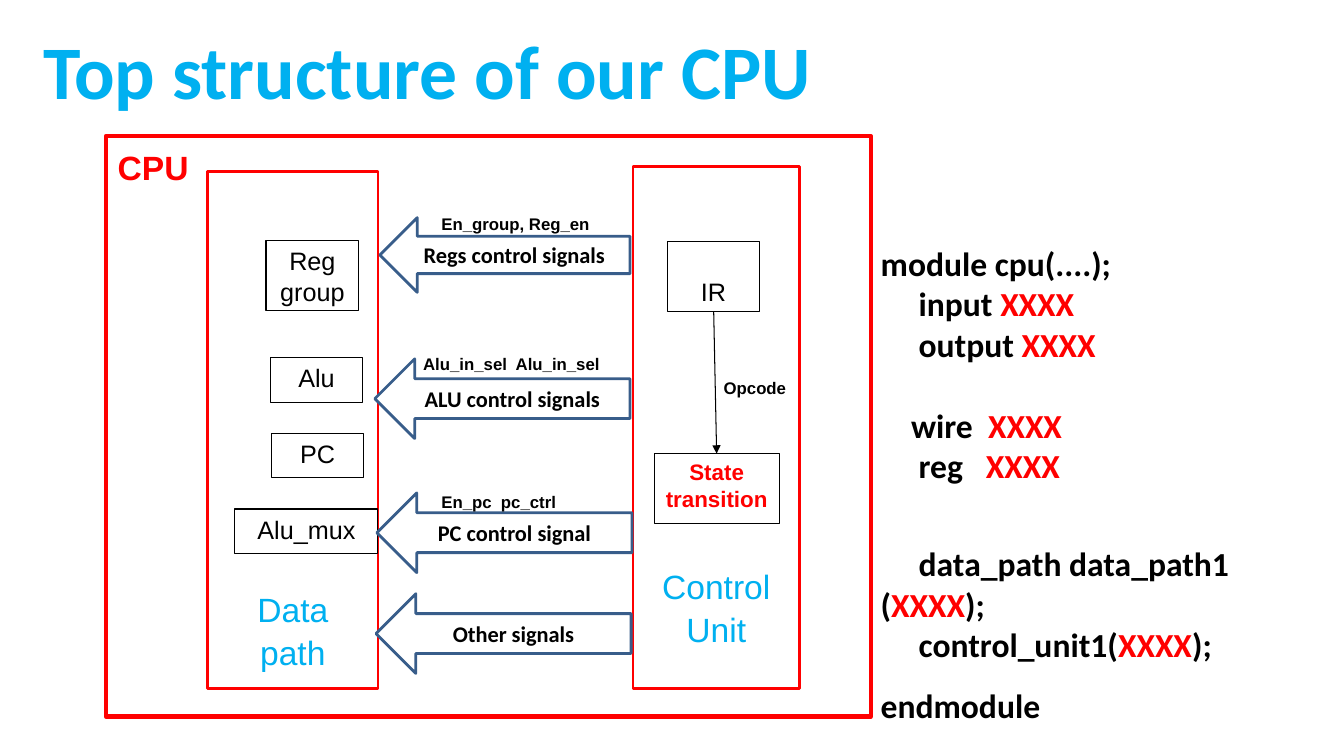
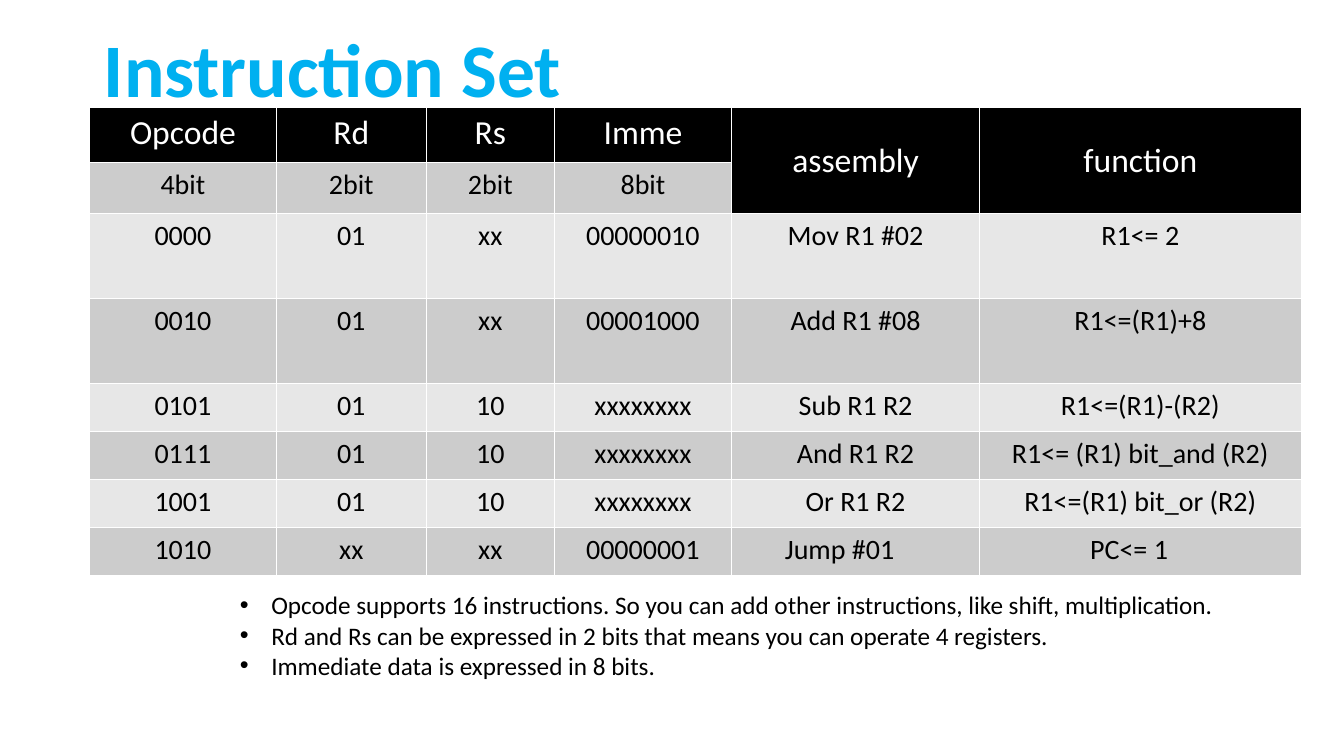
from dataclasses import dataclass
from typing import NamedTuple

from lxml.etree import SubElement
from pptx import Presentation
from pptx.dml.color import RGBColor
from pptx.enum.shapes import MSO_CONNECTOR, MSO_SHAPE
from pptx.enum.text import MSO_ANCHOR, MSO_AUTO_SIZE, PP_ALIGN
from pptx.oxml.ns import qn
from pptx.util import Pt

COLORS = {
    "black": "000000", "white": "FFFFFF", "red": "FF0000", "sky": "00B0F0",
    "navy": "385D8A", "light": "E7E7E7", "gray": "CCCCCC",
}
SLOT = "XXXX"


class Area(NamedTuple):
    left: float
    top: float
    width: float
    height: float

    def points(self) -> list:
        return [Pt(value) for value in self]


@dataclass
class Style:
    size: float
    color: str = "black"
    font: str = "Arial"
    bold: bool = False
    align: PP_ALIGN = PP_ALIGN.CENTER


@dataclass
class Block:
    """An outlined shape with its text."""
    area: Area
    text: str
    style: Style
    line: str = "black"
    weight: float = 0.75
    fill: str = "white"
    kind: MSO_SHAPE = MSO_SHAPE.RECTANGLE
    anchor: MSO_ANCHOR = MSO_ANCHOR.TOP
    top: float = 3.6
    bottom: float = 3.6
    pitch: float = 1.0


@dataclass
class Label:
    area: Area
    text: str
    style: Style


class Code(NamedTuple):
    text: str
    before: float = 0
    pitch: float = 1.0


TITLE = Style(54, "sky", "Calibri", True, PP_ALIGN.LEFT)
NAME = Style(24, "sky")
PART = Style(18)
STATE = Style(16, "red", bold=True)
SIGNAL = Style(16, font="Calibri", bold=True)
NOTE = Style(12, bold=True, align=PP_ALIGN.LEFT)
CORNER = Style(24, "red", bold=True, align=PP_ALIGN.LEFT)
CODE = Style(24, font="Calibri", bold=True, align=PP_ALIGN.LEFT)
HEAD = Style(24, "white", "Calibri")
CELL = Style(20, font="Calibri")
SHIFT = Style(20, font="Calibri", align=PP_ALIGN.LEFT)
POINT = Style(18, font="Calibri", align=PP_ALIGN.LEFT)


def frame(area: Area, text: str = "", weight: float = 2, bottom: float = 0) -> Block:
    return Block(area, text, NAME, "red", weight, "", anchor=MSO_ANCHOR.BOTTOM,
                 bottom=bottom, pitch=1.06)


def arrow(area: Area, text: str) -> Block:
    return Block(area, text, SIGNAL, "navy", 2, kind=MSO_SHAPE.LEFT_ARROW,
                 anchor=MSO_ANCHOR.MIDDLE)


BLOCKS = [
    frame(Area(75.6, 97.2, 546.5, 414.7), weight=3),
    frame(Area(148.3, 122.4, 121.7, 369.4), "Data\npath", bottom=11.5),
    frame(Area(452.2, 118.8, 118.8, 373), "Control\nUnit", bottom=28),
    Block(Area(190, 172, 66.2, 49.7), "Reg group", PART),
    Block(Area(193, 255.6, 66.2, 31.7), "Alu", PART),
    Block(Area(193.7, 309.6, 66.2, 31.7), "PC", PART),
    Block(Area(167.8, 363.6, 102.2, 31.7), "Alu_mux", PART),
    Block(Area(476.6, 172.8, 66.2, 49.7), "IR", PART, top=24.3),
    Block(Area(467.3, 324, 89.3, 49.7), "State\ntransition", STATE),
    arrow(Area(271.4, 155.5, 178.6, 53.3), "Regs control signals"),
    arrow(Area(267.8, 256.3, 182.2, 56.9), "ALU control signals"),
    arrow(Area(269.3, 352.1, 182.2, 56.9), "PC control signal"),
    arrow(Area(268.6, 424.1, 182.2, 56.9), "Other signals"),
]
LABELS = [
    Label(Area(77, 101.5, 69, 36), "CPU", CORNER),
    Label(Area(308.2, 149, 141.8, 21.6), "En_group, Reg_en", NOTE),
    Label(Area(295.2, 249.1, 141.8, 21.6), "Alu_in_sel  Alu_in_sel", NOTE),
    Label(Area(308.2, 347.8, 141.8, 21.6), "En_pc  pc_ctrl", NOTE),
    Label(Area(509.8, 266.4, 65.5, 21.6), "Opcode", NOTE),
]
LINES = [
    Code("module cpu(....);", pitch=1.5),
    Code("     input XXXX"),
    Code("     output XXXX"),
    Code("    wire  XXXX", before=29.3),
    Code("     reg   XXXX"),
    Code("     data_path data_path1 (XXXX);", before=41.3),
    Code("     control_unit1(XXXX);"),
    Code("endmodule", pitch=1.5),
]
WIDTHS = [133.2, 107.3, 91.4, 126.7, 177.1, 229.7]
HEIGHTS = [39, 36] + [60.7] * 2 + [34.4] * 4
ROWS = [
    ["Opcode", "Rd", "Rs", "Imme", "assembly", "function"],
    ["4bit", "2bit", "2bit", "8bit", "", ""],
    ["0000", "01", "xx", "00000010", "Mov R1 #02", "R1<= 2"],
    ["0010", "01", "xx", "00001000", "Add R1 #08", "R1<=(R1)+8"],
    ["0101", "01", "10", "xxxxxxxx", "Sub R1 R2", "R1<=(R1)-(R2)"],
    ["0111", "01", "10", "xxxxxxxx", "And R1 R2", "R1<= (R1) bit_and (R2)"],
    ["1001", "01", "10", "xxxxxxxx", "Or R1 R2", "R1<=(R1) bit_or (R2)"],
    ["1010", "xx", "xx", "00000001", "Jump #01", "PC<= 1"],
]
TALL = (4, 5)
MARGINS = {"Jump #01": 38, "PC<= 1": 79}
POINTS = [
    "Opcode supports 16 instructions. So you can add other instructions, "
    "like shift, multiplication.",
    "Rd and Rs can be expressed in 2 bits that means you can operate 4 registers.",
    "Immediate data is expressed in 8 bits.",
]


def rgb(name: str) -> RGBColor:
    return RGBColor.from_string(COLORS[name])


def paint(run, style: Style, color: str = "") -> None:
    run.font.size = Pt(style.size)
    run.font.name = style.font
    run.font.bold = style.bold
    run.font.color.rgb = rgb(color or style.color)


def write(body, text: str, style: Style, pitch: float = 1.0) -> None:
    body.text = text
    for para in body.paragraphs:
        para.alignment = style.align
        para.line_spacing = pitch
        for run in para.runs:
            paint(run, style)


def start(deck, text: str, left: float, top: float):
    """Add a title-only slide with the shared title style."""
    slide = deck.slides.add_slide(deck.slide_layouts[5])
    title = slide.shapes.title
    title.left, title.top, title.width, title.height = Area(left, top, 828, 104.4).points()
    body = title.text_frame
    write(body, text, TITLE, 0.9)
    body.auto_size = MSO_AUTO_SIZE.NONE
    body.vertical_anchor = MSO_ANCHOR.MIDDLE
    return slide


def add_block(slide, block: Block) -> None:
    shape = slide.shapes.add_shape(block.kind, *block.area.points())
    shape.shadow.inherit = False
    if block.fill:
        shape.fill.solid()
        shape.fill.fore_color.rgb = rgb(block.fill)
    else:
        shape.fill.background()
    shape.line.color.rgb = rgb(block.line)
    shape.line.width = Pt(block.weight)
    body = shape.text_frame
    body.vertical_anchor = block.anchor
    body.margin_top, body.margin_bottom = Pt(block.top), Pt(block.bottom)
    write(body, block.text, block.style, block.pitch)


def add_label(slide, label: Label):
    body = slide.shapes.add_textbox(*label.area.points()).text_frame
    body.word_wrap = True
    write(body, label.text, label.style)
    return body


def add_link(slide) -> None:
    """Draw the arrow from IR to the state box."""
    ends = [Pt(value) for value in (509.8, 222.5, 511.9, 324)]
    link = slide.shapes.add_connector(MSO_CONNECTOR.STRAIGHT, *ends)
    link.line.color.rgb = rgb("black")
    link.line.width = Pt(0.75)
    SubElement(link.line._get_or_add_ln(), qn("a:tailEnd"), type="triangle")
    SubElement(link._element.spPr, qn("a:effectLst"))


def add_code(slide) -> None:
    body = slide.shapes.add_textbox(*Area(622, 155.5, 338, 339).points()).text_frame
    body.word_wrap = False
    for index, line in enumerate(LINES):
        para = body.add_paragraph() if index else body.paragraphs[0]
        para.line_spacing = line.pitch
        para.space_before = Pt(line.before)
        for piece in filter(None, line.text.partition(SLOT)):
            run = para.add_run()
            run.text = piece
            paint(run, CODE, "red" if piece == SLOT else "black")


def edge(cell) -> None:
    """Give a cell thin white borders."""
    props = cell._tc.get_or_add_tcPr()
    for index, side in enumerate(("lnL", "lnR", "lnT", "lnB")):
        line = props.makeelement(qn(f"a:{side}"), {"w": str(Pt(1))})
        fill = SubElement(line, qn("a:solidFill"))
        SubElement(fill, qn("a:srgbClr"), val=COLORS["white"])
        props.insert(index, line)


def add_grid(slide) -> None:
    area = Area(64.1, 77, sum(WIDTHS), sum(HEIGHTS))
    table = slide.shapes.add_table(len(ROWS), len(WIDTHS), *area.points()).table
    for column, width in zip(table.columns, WIDTHS):
        column.width = Pt(width)
    for row, height in zip(table.rows, HEIGHTS):
        row.height = Pt(height)
    for col in TALL:
        table.cell(0, col).merge(table.cell(1, col))
    for row, texts in enumerate(ROWS):
        for col, text in enumerate(texts):
            cell = table.cell(row, col)
            dark = row == 0 or (row == 1 and col in TALL)
            cell.fill.solid()
            cell.fill.fore_color.rgb = rgb("black" if dark else "gray" if row % 2 else "light")
            edge(cell)
            if cell.is_spanned:
                continue
            style = HEAD if dark else SHIFT if text in MARGINS else CELL
            write(cell.text_frame, text, style)
            cell.margin_left = Pt(MARGINS.get(text, 7.2))
            if cell.is_merge_origin:
                cell.vertical_anchor = MSO_ANCHOR.MIDDLE


def add_points(slide) -> None:
    area = Area(164.2, 417.6, 731.5, 94.3)
    body = add_label(slide, Label(area, "\n".join(POINTS), POINT))
    for para in body.paragraphs:
        props = para._p.get_or_add_pPr()
        props.set("marL", str(Pt(22.5)))
        props.set("indent", str(-Pt(22.5)))
        SubElement(props, qn("a:buFont"), typeface="Arial")
        SubElement(props, qn("a:buChar"), char="•")


def main() -> None:
    deck = Presentation()
    deck.slide_width, deck.slide_height = Pt(960), Pt(540)

    slide = start(deck, "Top structure of our CPU", 23.8, 1.4)
    for block in BLOCKS:
        add_block(slide, block)
    for label in LABELS:
        add_label(slide, label)
    add_link(slide)
    add_code(slide)

    slide = start(deck, "Instruction Set", 67, 0)
    add_grid(slide)
    add_points(slide)
    deck.save("out.pptx")


if __name__ == "__main__":
    main()
